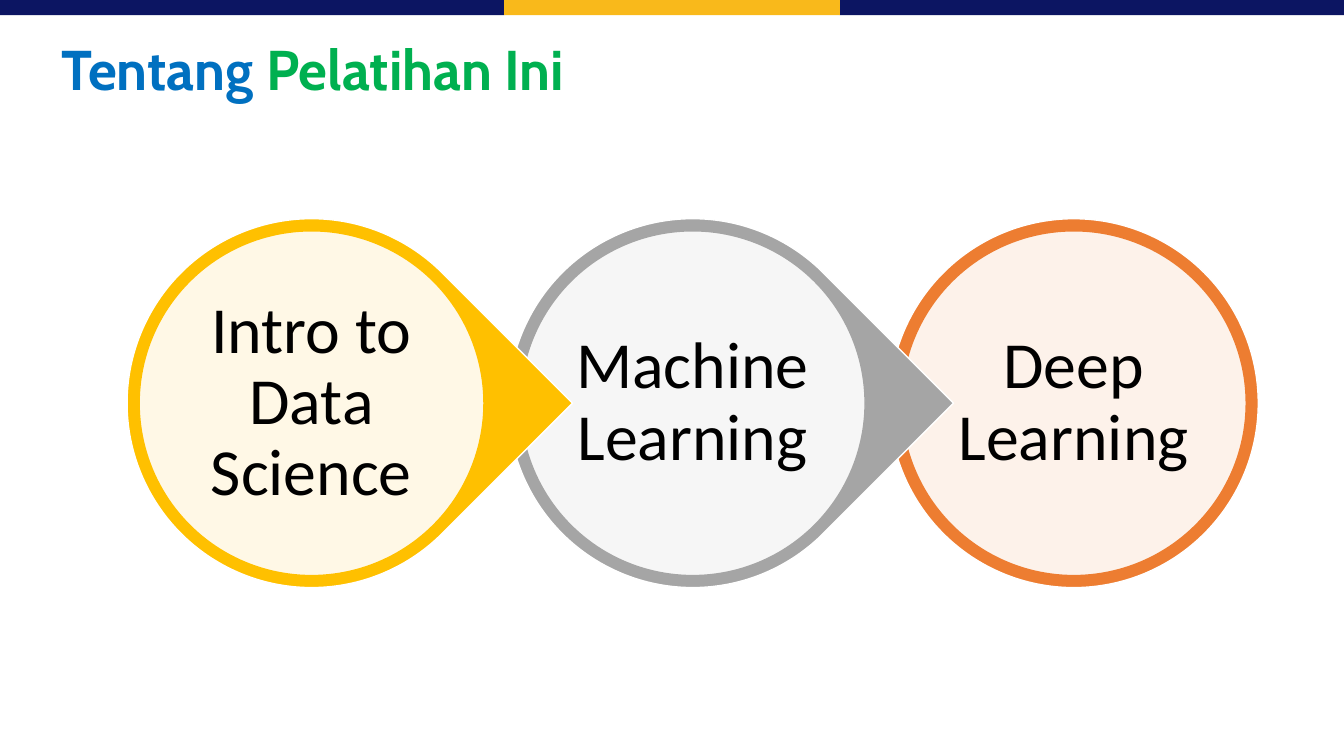
from dataclasses import dataclass

from lxml import etree
from pptx import Presentation
from pptx import util as u
from pptx.dml import color
from pptx.enum import shapes, text
from pptx.oxml import ns

NAVY, GOLD = "0C1562", "F9B91B"
FIRST_CENTER, CENTER_STEP, MIDDLE = 3.09, 3.78, 4.0
OUTER, INNER, LABEL = 3.66, 3.42, 2.46


@dataclass
class Band:
    left: float
    width: float
    fill: str


@dataclass
class Stage:
    label: str
    accent: str
    pointed: bool = True


@dataclass
class Span:
    words: str
    format: dict


BANDS = [Band(0, 5, NAVY), Band(8.33, 5, NAVY), Band(5, 3.33, GOLD)]
STAGES = [
    Stage("Intro to Data Science", "FFC000"),
    Stage("Machine Learning", "A5A5A5"),
    Stage("Deep Learning", "ED7D31", pointed=False),
]
TITLE_FORMAT = {"name": "Cabin", "size": u.Pt(40), "bold": True}
LABEL_FORMAT = {"name": "Calibri", "size": u.Pt(47)}
TITLE = [
    Span("Tentang ", TITLE_FORMAT | {"color": "0070C0"}),
    Span("Pelatihan Ini", TITLE_FORMAT | {"color": "00B050"}),
]


def rgb(value: str) -> color.RGBColor:
    return color.RGBColor.from_string(value)


def square(center: float, side: float) -> list:
    return [u.Inches(n) for n in (center - side / 2, MIDDLE - side / 2, side, side)]


def add_figure(page, kind, frame: list, fill: str, line: str | None = None):
    figure = page.shapes.add_shape(kind, *frame)
    figure.shadow.inherit = False
    figure.fill.solid()
    figure.fill.fore_color.rgb = rgb(fill)
    if line:
        figure.line.color.rgb = rgb(line)
        figure.line.width = u.Pt(1)
    else:
        figure.line.fill.background()
    return figure


def add_words(para, span: Span) -> None:
    run = para.add_run()
    run.text = span.words
    for key, value in span.format.items():
        if key == "color":
            run.font.color.rgb = rgb(value)
        else:
            setattr(run.font, key, value)


def add_box(page, frame: list, spans: list[Span], box_format: dict, para_format: dict) -> None:
    box = page.shapes.add_textbox(*frame).text_frame
    for key, value in box_format.items():
        setattr(box, key, value)
    para = box.paragraphs[0]
    for key, value in para_format.items():
        setattr(para, key, value)
    for span in spans:
        add_words(para, span)


def set_opacity(figure, percent: int) -> None:
    fill_color = figure.fill._xPr.find(ns.qn("a:solidFill"))[0]
    etree.SubElement(fill_color, ns.qn("a:alpha"), val=str(percent * 1000))


def add_stage(page, stage: Stage, center: float) -> None:
    kinds = shapes.MSO_SHAPE
    kind = kinds.TEAR if stage.pointed else kinds.OVAL
    rim = add_figure(page, kind, square(center, OUTER), stage.accent, "FFFFFF")
    if stage.pointed:
        rim.adjustments[0] = 1
        rim.rotation = 45
    disc = add_figure(page, kinds.OVAL, square(center, INNER), "FFFFFF", stage.accent)
    set_opacity(disc, 90)
    margins = {f"margin_{side}": u.Inches(0.06) for side in ("left", "top", "right", "bottom")}
    add_box(
        page,
        square(center, LABEL),
        [Span(stage.label, LABEL_FORMAT | {"color": "000000"})],
        margins | {"word_wrap": True, "vertical_anchor": text.MSO_ANCHOR.MIDDLE},
        {"alignment": text.PP_ALIGN.CENTER, "line_spacing": 0.9},
    )


def main() -> None:
    deck = Presentation()
    deck.slide_width, deck.slide_height = u.Inches(13.33), u.Inches(7.5)
    page = deck.slides.add_slide(deck.slide_layouts[6])
    for band in BANDS:
        frame = [u.Inches(n) for n in (band.left, 0, band.width, 0.15)]
        add_figure(page, shapes.MSO_SHAPE.RECTANGLE, frame, band.fill)
    add_box(
        page,
        [u.Inches(n) for n in (0.51, 0.29, 5.24, 0.77)],
        TITLE,
        {"word_wrap": False, "auto_size": text.MSO_AUTO_SIZE.SHAPE_TO_FIT_TEXT},
        {"alignment": text.PP_ALIGN.LEFT},
    )
    for index, stage in reversed(list(enumerate(STAGES))):
        add_stage(page, stage, FIRST_CENTER + index * CENTER_STEP)
    deck.save("out.pptx")


if __name__ == "__main__":
    main()
